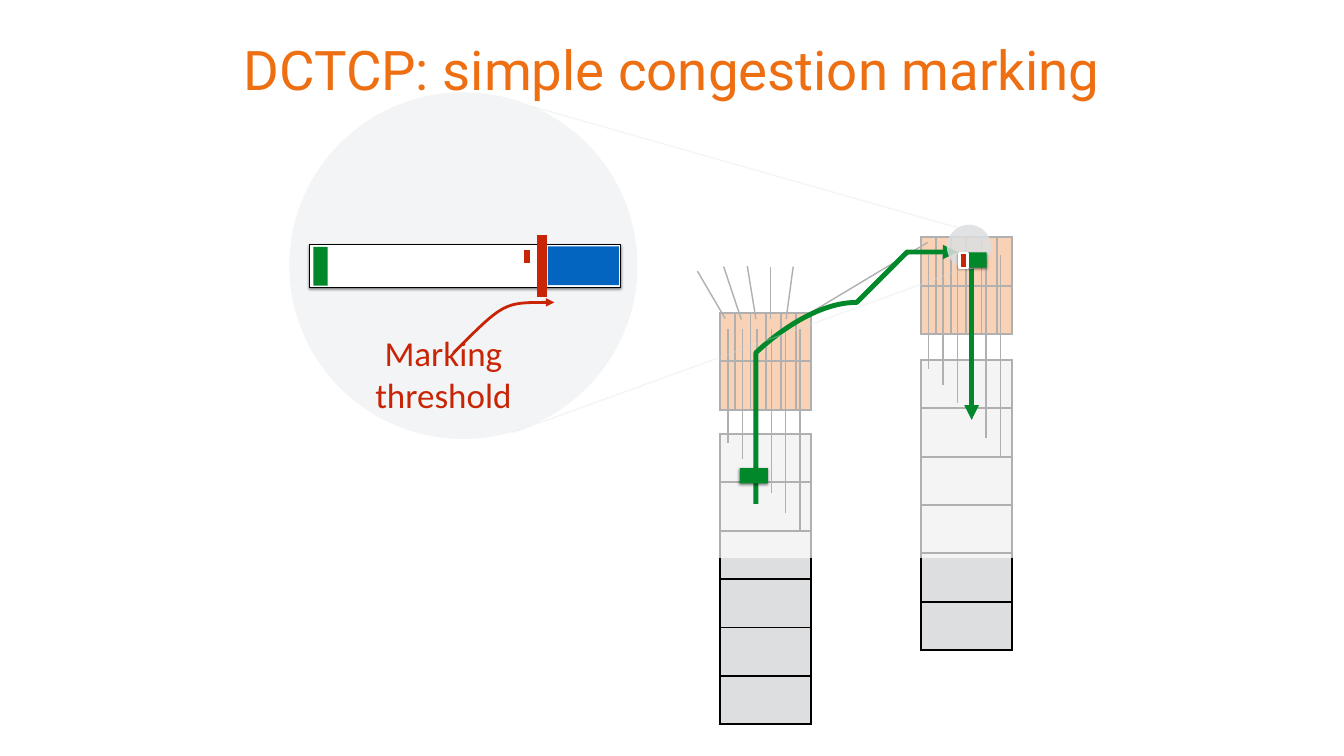
from lxml import etree
from pptx import Presentation
from pptx.dml.color import RGBColor
from pptx.enum import shapes, text
from pptx.oxml import ns
from pptx.util import Inches, Pt

ORANGE, GREY, GREEN = "EE6E12", "DCDEE0", "00882B"
RED, BLUE, WHITE, BLACK = "C82506", "0365C0", "FFFFFF", "000000"
RECT, OVAL = shapes.MSO_SHAPE.RECTANGLE, shapes.MSO_SHAPE.OVAL

COLUMN_WIDTH, ROW_HEIGHT = 1.81, 0.96
STACKS = [
    {"left": 18.27, "ports_top": 4.71, "queue_top": 7.14, "wire_top": 5.06},
    {"left": 14.29, "ports_top": 6.21, "queue_top": 8.61, "wire_top": 6.53},
]
WIRE_LENGTHS = [2.26, 2.58, 2.94, 3.26, 3.64, 4.02]
WIRE_INSET, WIRE_STEP = 0.16, 0.285
UPLINKS = [
    ((15.89, 6.32), (18.41, 4.81)),
    ((14.39, 6.32), (13.84, 5.38)),
    ((14.71, 6.34), (14.36, 5.29)),
    ((15, 6.33), (14.83, 5.28)),
    ((15.29, 6.33), (15.29, 5.29)),
    ((15.6, 6.33), (15.74, 5.29)),
]
PACKET_ROUTE = [
    (15.01, 9.56), (15.01, 9.56), (14.94, 7.86), (15.01, 6.81),
    (15.02, 6.58), (15.87, 6.26), (16.64, 5.88),
    (17.26, 5.57), (17.8, 5.08), (18.37, 4.95),
    (18.77, 4.85), (19.1, 4.92), (19.26, 4.95),
]
THRESHOLD_POINTER = [(9.44, 6.99), (9.55, 6.45), (9.94, 6.06), (10.61, 5.83)]
ZOOM_EDGES = [((10.55, 2.11), (19.19, 4.57)), ((10.18, 8.58), (19.38, 5.24))]


def rgb(color):
    return RGBColor.from_string(color)


def child(parent, tag, **attributes):
    element = etree.SubElement(parent, ns.qn(tag))
    for name, value in attributes.items():
        element.set(name, str(value))
    return element


def fade(parent, opacity):
    color = parent.find(ns.qn("a:solidFill"))[0]
    child(color, "a:alpha", val=opacity * 1000)


def stroke(shape, color, width, opacity=100, arrow=False):
    shape.line.color.rgb = rgb(color)
    shape.line.width = Pt(width)
    outline = shape._element.spPr.find(ns.qn("a:ln"))
    if opacity < 100:
        fade(outline, opacity)
    if arrow:
        child(outline, "a:tailEnd", type="triangle")


def add_line(page, start, end, color=BLACK, width=2, **style):
    line = page.shapes.add_connector(
        shapes.MSO_CONNECTOR.STRAIGHT, *map(Inches, start + end))
    stroke(line, color, width, **style)
    child(line._element.spPr, "a:effectLst")


def add_curve(page, points, color, width):
    builder = page.shapes.build_freeform(*points[0], scale=Inches(1))
    builder.add_line_segments(points[1:], close=False)
    curve = builder.convert_to_shape()
    curve.shadow.inherit = False
    curve.fill.background()
    stroke(curve, color, width, arrow=True)
    segments = list(curve._element.iter(ns.qn("a:lnTo")))
    for first in range(0, len(segments), 3):
        bezier = child(segments[first].getparent(), "a:cubicBezTo")
        for segment in segments[first:first + 3]:
            bezier.append(segment[0])
            segment.getparent().remove(segment)


def add_block(page, kind, frame, color, opacity=100, line=None, shadow=False):
    block = page.shapes.add_shape(kind, *map(Inches, frame))
    block.shadow.inherit = False
    block.fill.solid()
    block.fill.fore_color.rgb = rgb(color)
    if opacity < 100:
        fade(block._element.spPr, opacity)
    if line:
        stroke(block, *line)
    else:
        block.line.fill.background()
    if shadow:
        effects = block._element.spPr.find(ns.qn("a:effectLst"))
        outer = child(effects, "a:outerShdw", blurRad=Pt(4), dist=Pt(2),
                      dir=90 * 60000, rotWithShape=0)
        child(child(outer, "a:srgbClr", val=BLACK), "a:alpha", val=50000)


def add_grid(page, left, top, rows, columns, color):
    grid = page.shapes.add_table(
        rows, columns, Inches(left), Inches(top),
        Inches(COLUMN_WIDTH), Inches(ROW_HEIGHT * rows)).table
    grid.first_row = grid.horz_banding = False
    for cell in grid.iter_cells():
        properties = cell._tc.get_or_add_tcPr()
        for side in ("a:lnL", "a:lnR", "a:lnT", "a:lnB"):
            border = child(properties, side, w=Pt(3))
            child(child(border, "a:solidFill"), "a:srgbClr", val=BLACK)
        cell.fill.solid()
        cell.fill.fore_color.rgb = rgb(color)


def add_text(page, content, frame, size, font, color):
    box = page.shapes.add_textbox(*map(Inches, frame)).text_frame
    box.word_wrap = True
    box.vertical_anchor = text.MSO_ANCHOR.MIDDLE
    box.margin_left = box.margin_right = Inches(0.08)
    box.margin_top = box.margin_bottom = Inches(0.08)
    para = box.paragraphs[0]
    para.alignment = text.PP_ALIGN.CENTER
    span = para.add_run()
    span.text = content
    span.font.size = Pt(size)
    span.font.name = font
    span.font.color.rgb = rgb(color)


def add_stack(page, left, ports_top, queue_top, wire_top):
    add_grid(page, left, queue_top, 6, 1, GREY)
    add_grid(page, left, ports_top, 2, 6, ORANGE)
    for index, length in enumerate(WIRE_LENGTHS):
        x = left + WIRE_INSET + index * WIRE_STEP
        add_line(page, (x, wire_top + length), (x, wire_top))


def main():
    deck = Presentation()
    deck.slide_width, deck.slide_height = Inches(26.67), Inches(15)
    page = deck.slides.add_slide(deck.slide_layouts[6])

    add_text(page, "DCTCP: simple congestion marking", (3.33, 0, 20, 2.73),
             size=78, font="Roboto", color=ORANGE)
    for stack in STACKS:
        add_stack(page, **stack)
    for start, end in UPLINKS:
        add_line(page, start, end)
    add_block(page, RECT, (13.03, 4.48, 8.23, 6.59), WHITE, opacity=69)

    add_curve(page, PACKET_ROUTE, GREEN, 7)
    add_block(page, RECT, (14.68, 9.29, 0.56, 0.3), GREEN, shadow=True)
    add_line(page, (19.28, 5.06), (19.28, 8.33), GREEN, 7, arrow=True)

    add_block(page, OVAL, (5.74, 1.83, 6.91, 6.88), GREY, opacity=32)
    add_block(page, RECT, (6.14, 4.85, 6.18, 0.85), WHITE,
              line=(BLACK, 1), shadow=True)
    add_block(page, RECT, (10.87, 4.89, 1.41, 0.77), BLUE)
    for start, end in ZOOM_EDGES:
        add_line(page, start, end, GREY, opacity=30)
    add_block(page, OVAL, (18.79, 4.46, 0.88, 0.88), GREY, opacity=86)

    add_block(page, RECT, (6.22, 4.9, 0.28, 0.77), GREEN)
    add_block(page, RECT, (10.38, 4.94, 0.16, 0.3), RED, line=(WHITE, 4))
    add_block(page, RECT, (19.02, 5.01, 0.56, 0.3), GREEN, shadow=True)
    add_block(page, RECT, (19.04, 5.02, 0.16, 0.3), RED, line=(WHITE, 4))

    add_text(page, "Marking threshold", (7.15, 6.5, 3.3, 1.84),
             size=50, font="Calibri", color=RED)
    add_line(page, (10.75, 5.89), (10.75, 4.67), RED, 14)
    add_curve(page, THRESHOLD_POINTER, RED, 4)
    deck.save("out.pptx")


if __name__ == "__main__":
    main()
